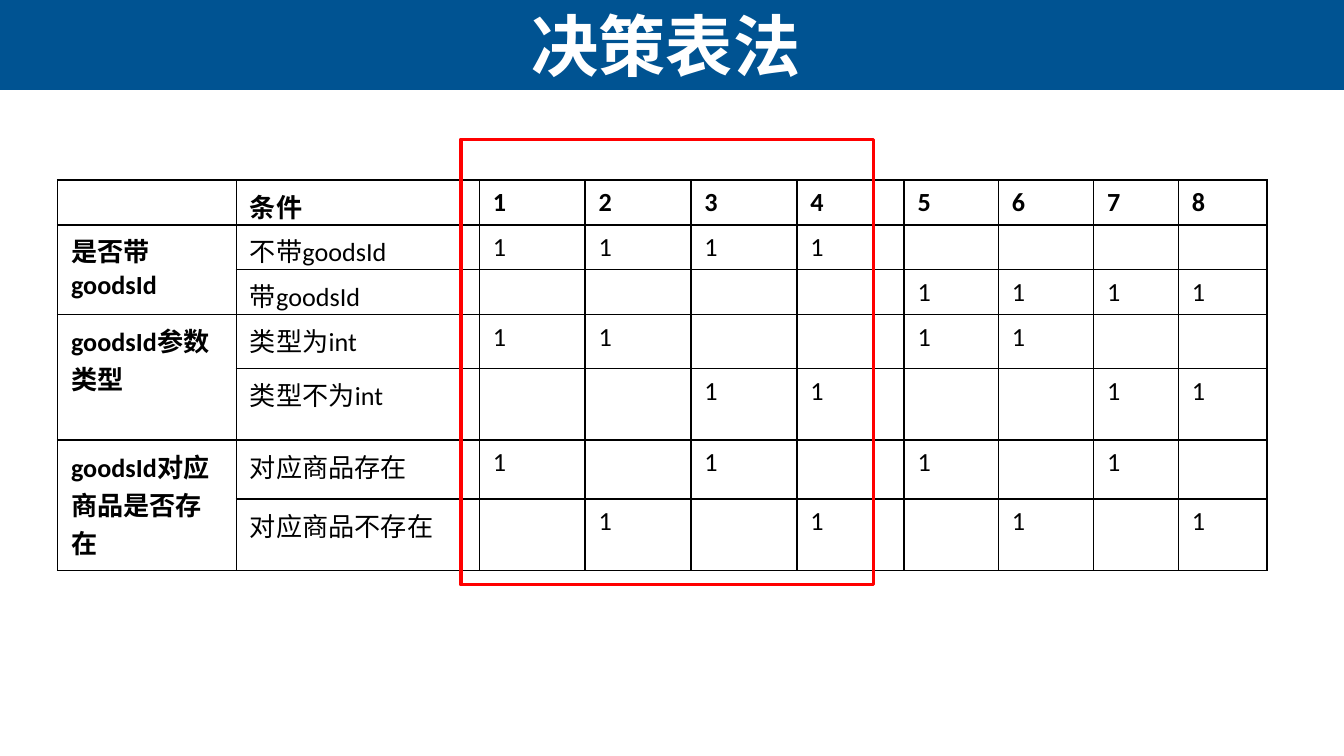
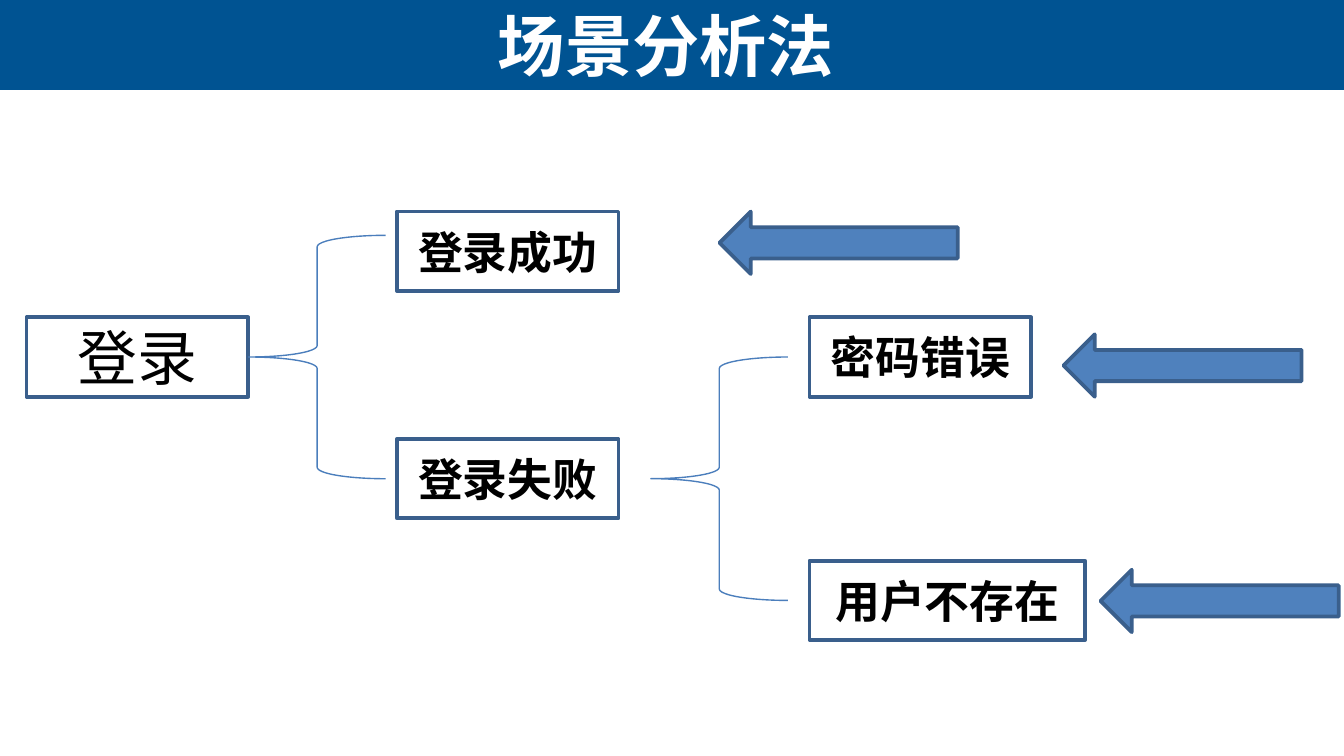
from dataclasses import dataclass

from lxml import etree
from pptx import Presentation
from pptx import util as u
from pptx.dml.color import RGBColor
from pptx.enum import shapes, text
from pptx.oxml import ns

Cm, Pt = u.Cm, u.Pt
KIND = shapes.MSO_SHAPE


@dataclass(frozen=True)
class Theme:
    band: str = "005392"
    ink: str = "000000"
    edge: str = "3A5F8C"
    brace: str = "4B7EBC"
    arrow: str = "4F81BD"
    mark: str = "FF0000"
    paper: str = "CCE8CF"  # fallback of the system window colour
    head: str = "Arial"
    body: str = "Calibri"
    title: int = 36
    root: int = 32
    node: int = 24
    cell: int = 14


T = Theme()
WIDE, HIGH = 25.4, 14.29
BAND = 1.7


def paper(fill):
    """Fill with the system window colour."""
    fill.solid()
    fill.fore_color.rgb = RGBColor.from_string(T.paper)
    for old in list(fill._xPr.iter(ns.qn("a:srgbClr"))):
        new = etree.Element(ns.qn("a:sysClr"), val="window", lastClr=T.paper)
        old.getparent().replace(old, new)


def write(frame, words, size=T.cell, font=T.body, color=T.ink, bold=False,
          align=None, anchor=None):
    """Put one formatted run into a text frame."""
    frame.word_wrap = True
    if anchor is not None:
        frame.vertical_anchor = anchor
    para = frame.paragraphs[0]
    para.alignment = align
    if not words:
        para._p.get_or_add_endParaRPr().set("sz", str(size * 100))
        return
    run = para.add_run()
    run.text = words
    run.font.size, run.font.name, run.font.bold = Pt(size), font, bold
    if color == T.paper:
        paper(run.font.fill)
    else:
        run.font.color.rgb = RGBColor.from_string(color)


def centre(frame, words, **style):
    write(frame, words, align=text.PP_ALIGN.CENTER,
          anchor=text.MSO_ANCHOR.MIDDLE, **style)


def draw(slide, kind, box, fill=None, line=None, width=2):
    """Add a preset shape at box (left, top, width, height in cm)."""
    shape = slide.shapes.add_shape(kind, *map(Cm, box))
    shape.shadow.inherit = False
    if fill:
        shape.fill.solid()
        shape.fill.fore_color.rgb = RGBColor.from_string(fill)
    else:
        shape.fill.background()
    if line:
        shape.line.color.rgb = RGBColor.from_string(line)
        shape.line.width = Pt(width)
    else:
        shape.line.fill.background()
    return shape


def start(deck, title):
    """Blank slide with the shared background, band and title."""
    slide = deck.slides.add_slide(deck.slide_layouts[6])
    paper(slide.background.fill)
    draw(slide, KIND.RECTANGLE, (0, 0, WIDE, BAND), fill=T.band)
    label = slide.shapes.add_textbox(Cm(0.05), 0, Cm(25.07), Cm(BAND))
    centre(label.text_frame, title, size=T.title, font=T.head,
           color=T.paper, bold=True)
    return slide


# Decision table
COLS = [3.38, 4.59, 2, 2, 2, 2.03, 1.78, 1.8, 1.6, 1.68]
ROWS = [0.76, 0.76, 0.76, 1.02, 1.35, 1.12, 1.35]
GRID = [
    ("", "条件", "12345678"),
    ("是否带goodsId", "不带goodsId", "1111    "),
    ("", "带goodsId", "    1111"),
    ("goodsId参数类型", "类型为int", "11  11  "),
    ("", "类型不为int", "  11  11"),
    ("goodsId对应商品是否存在", "对应商品存在", "1 1 1 1 "),
    ("", "对应商品不存在", " 1 1 1 1"),
]


def border(cell):
    """Clear the fill and rule all four sides."""
    cell.fill.background()
    props = cell._tc.get_or_add_tcPr()
    for i, side in enumerate("LRTB"):
        line = etree.Element(ns.qn("a:ln" + side), w=str(Pt(1)))
        solid = etree.SubElement(line, ns.qn("a:solidFill"))
        etree.SubElement(solid, ns.qn("a:srgbClr"), val=T.ink)
        props.insert(i, line)


def grid(slide, box):
    x, y, w, h = box
    frame = slide.shapes.add_table(len(ROWS), len(COLS), *map(Cm, box))
    table = frame.table
    table.first_row = table.horz_banding = False
    for col, size in zip(table.columns, COLS):
        col.width = Cm(size)
    for row, size in zip(table.rows, ROWS):
        row.height = Cm(size)
    for top in range(1, len(ROWS), 2):
        table.cell(top, 0).merge(table.cell(top + 1, 0))
    for r, (group, term, marks) in enumerate(GRID):
        for c, words in enumerate([group, term, *marks]):
            cell = table.cell(r, c)
            write(cell.text_frame, words.strip(), bold=r == 0 or c == 0)
            border(cell)
    # Frame around the first four rules
    draw(slide, KIND.RECTANGLE, (x + 7.62, y - 0.76, 7.8, 8.41), line=T.mark)


# Scenario tree: places relative to its box
NODES = [  # left, top, width, words
    (0, 2, 4.19, "登录"),
    (7, 0, 4.19, "登录成功"),
    (7, 4.3, 4.19, "登录失败"),
    (14.8, 2, 4.19, "密码错误"),
    (14.8, 6.6, 5.21, "用户不存在"),
]
FORKS = [(4.2, 0.45), (11.8, 2.75)]
HINTS = [(13.1, 0), (19.6, 2.32), (20.3, 6.77)]


def tree(slide, box):
    x, y, w, h = box
    for i, (left, top, width, words) in enumerate(NODES):
        node = draw(slide, KIND.RECTANGLE, (x + left, y + top, width, 1.5),
                    line=T.edge)
        centre(node.text_frame, words, size=T.node if i else T.root,
               bold=i > 0)
    for left, top in FORKS:
        draw(slide, KIND.LEFT_BRACE, (x + left, y + top, 2.59, 4.6),
             line=T.brace, width=0.75)
    for left, top in HINTS:
        draw(slide, KIND.LEFT_ARROW, (x + left, y + top, 4.5, 1.18),
             fill=T.arrow, line=T.edge)


def main():
    deck = Presentation()
    deck.slide_width, deck.slide_height = Cm(WIDE), Cm(HIGH)
    grid(start(deck, "决策表法"), (1.09, 3.4, sum(COLS), sum(ROWS)))
    tree(start(deck, "场景分析法"), (0.5, 4, 24.8, 8.1))
    deck.save("out.pptx")


if __name__ == "__main__":
    main()
